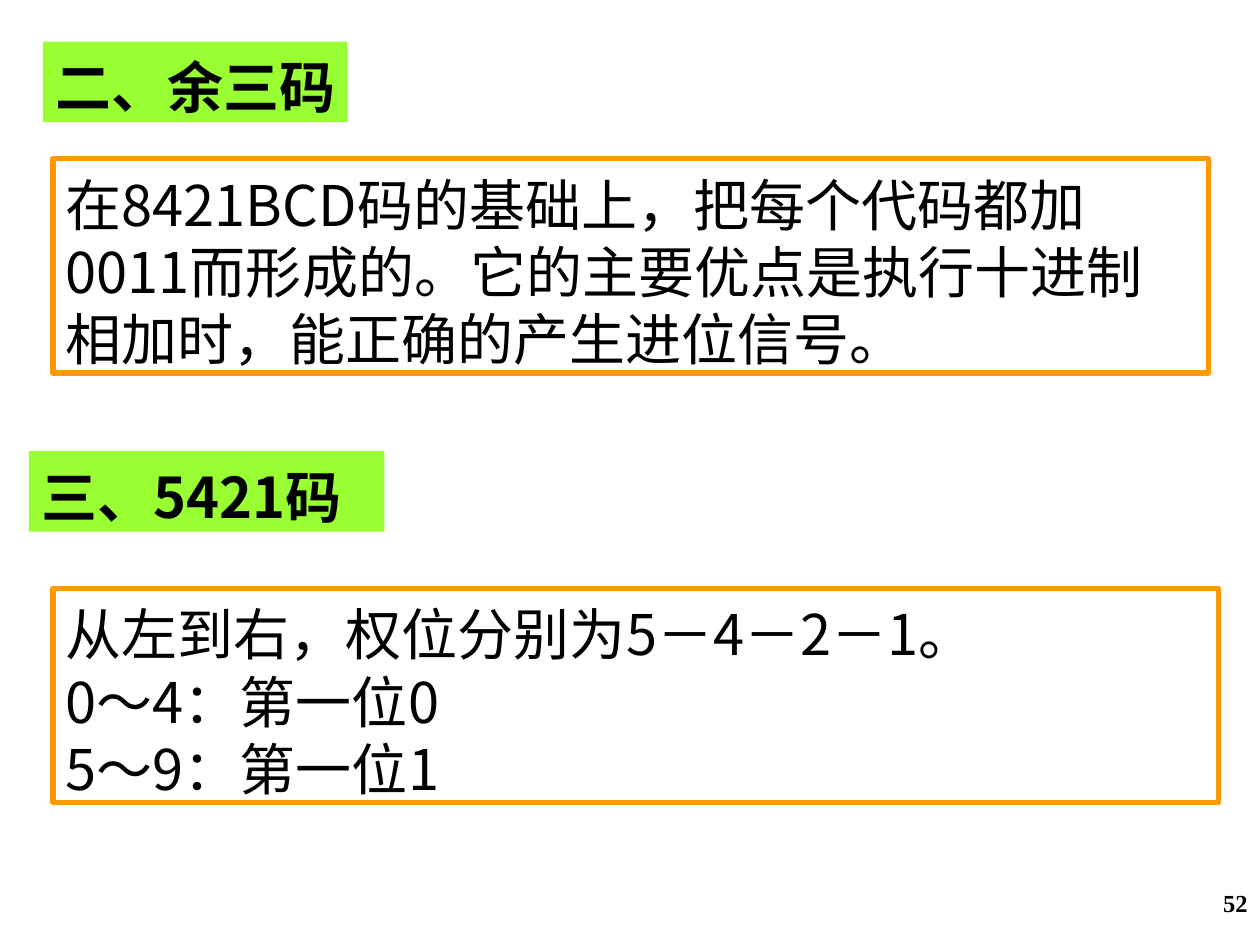
from dataclasses import dataclass

from lxml import etree
from pptx import Presentation
from pptx import util as u
from pptx.dml.color import RGBColor
from pptx.enum import text
from pptx.oxml.ns import qn


@dataclass(frozen=True)
class Theme:
    ink: str = "000000"
    lime: str = "99FF33"
    orange: str = "FF9900"
    sans: str = "Noto Sans CJK SC"
    serif: str = "Times New Roman"
    main: float = 32
    small: float = 14
    pitch: float = 38.4
    edge: float = 3


class Deck:
    """Hold the style and the current slide, and draw each kind of element."""

    def __init__(self, theme):
        self.theme = theme
        self.prs = Presentation()
        self.prs.slide_width, self.prs.slide_height = u.Inches(10), u.Inches(7.5)
        self.slide = self.prs.slides.add_slide(self.prs.slide_layouts[3])

    def place(self, shape, box):
        shape.left, shape.top, shape.width, shape.height = map(u.Inches, box)
        return shape

    def label(self, box):
        return self.place(self.slide.shapes.add_textbox(0, 0, 0, 0), box)

    def fill_in(self, shape, lines, face, size, bold=False, pitch=None,
                align=text.PP_ALIGN.LEFT, pads=(0.1, 0.05, 0.1, 0.05)):
        frame = shape.text_frame
        frame.auto_size = text.MSO_AUTO_SIZE.NONE
        frame.word_wrap = True
        frame.vertical_anchor = text.MSO_ANCHOR.TOP
        (frame.margin_left, frame.margin_top,
         frame.margin_right, frame.margin_bottom) = map(u.Inches, pads)
        frame.text = "\n".join(lines)
        for para in frame.paragraphs:
            para.alignment = align
            para.space_before = u.Pt(0)
            if pitch:
                para.line_spacing = u.Pt(pitch)
            props = para._p.get_or_add_pPr()
            props.set("marL", "0")
            props.set("indent", "0")
            etree.SubElement(props, qn("a:buNone"))
            font = para.font
            font.name, font.size, font.bold = face, u.Pt(size), bold
            font.color.rgb = RGBColor.from_string(self.theme.ink)
            etree.SubElement(font._element, qn("a:ea"), typeface=face)

    def head(self, shape, line):
        look = self.theme
        shape.fill.solid()
        shape.fill.fore_color.rgb = RGBColor.from_string(look.lime)
        self.fill_in(shape, [line], look.sans, look.main, True, look.pitch,
                     pads=(0.1, 0.09, 0, 0.01))

    def panel(self, shape, lines):
        look = self.theme
        shape.fill.background()
        shape.line.color.rgb = RGBColor.from_string(look.orange)
        shape.line.width = u.Pt(look.edge)
        self.fill_in(shape, lines, look.sans, look.main, pitch=look.pitch,
                     pads=(0.1, 0.09, 0.1, 0.01))

    def number(self, box, value):
        look = self.theme
        self.fill_in(self.label(box), [value], look.serif, look.small, True,
                     align=text.PP_ALIGN.RIGHT)


def main():
    deck = Deck(Theme())
    title, first, second = list(deck.slide.placeholders)[:3]
    deck.number((7.92, 7, 2.08, 0.5), "52")
    deck.head(deck.place(title, (0.34, 0.33, 2.42, 0.64)), "二、余三码")
    deck.panel(deck.place(first, (0.42, 1.26, 9.17, 1.7)), [
        "在8421BCD码的基础上，把每个代码都加0011而形成的。"
        "它的主要优点是执行十进制相加时，能正确的产生进位信号。"])
    deck.head(deck.label((0.23, 3.58, 2.82, 0.64)), "三、5421码")
    deck.panel(deck.place(second, (0.42, 4.67, 9.25, 1.7)), [
        "从左到右，权位分别为5－4－2－1。",
        "0～4：第一位0",
        "5～9：第一位1"])
    deck.prs.save("out.pptx")


if __name__ == "__main__":
    main()
